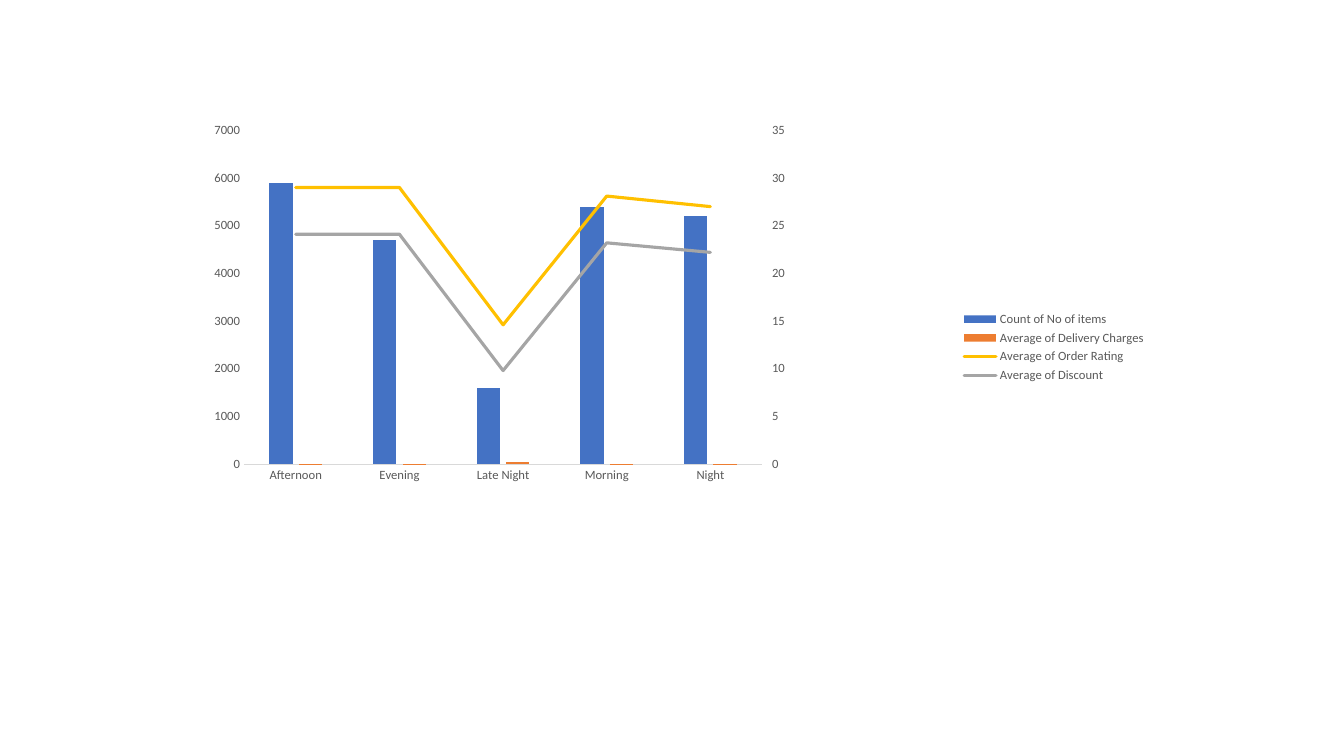
from dataclasses import dataclass
from typing import Any

from pptx import Presentation
from pptx import oxml
from pptx import util as u
from pptx.chart import axis as ax
from pptx.chart import data as cd
from pptx.dml import color as clr
from pptx.enum import chart as ch
from pptx.oxml import ns


@dataclass(frozen=True)
class Measure:
    name: str
    values: tuple[float, ...]
    color: str


PERIODS = ("Afternoon", "Evening", "Late Night", "Morning", "Night")
COLUMNS = (
    Measure("Count of No of items", (5900, 4700, 1600, 5400, 5200), "4472C4"),
    Measure("Average of Delivery Charges", (3, 3, 40, 3, 3), "ED7D31"),
)
LINES = (
    Measure("Average of Discount", (24.1, 24.1, 9.8, 23.2, 22.2), "A5A5A5"),
    Measure("Average of Order Rating", (4.9, 4.9, 4.8, 4.9, 4.8), "FFC000"),
)
PLOT_BOX = {"x": 0.134, "y": 0.142, "w": 0.492, "h": 0.551}
AXIS_FORMAT = {
    "has_major_gridlines": False,
    "major_tick_mark": ch.XL_TICK_MARK.NONE,
    "minor_tick_mark": ch.XL_TICK_MARK.NONE,
}
LEFT_SCALE = {"minimum_scale": 0, "maximum_scale": 7000, "major_unit": 1000}
RIGHT_SCALE = {
    "minimum_scale": 0,
    "maximum_scale": 35,
    "major_unit": 5,
    "major_tick_mark": ch.XL_TICK_MARK.OUTSIDE,
}


def rgb(value: str) -> clr.RGBColor:
    return clr.RGBColor.from_string(value)


def apply(target: Any, values: dict[str, Any]) -> None:
    for key, value in values.items():
        setattr(target, key, value)


def style_font(font: Any, size: float, color: str) -> None:
    apply(font, {"name": "Calibri", "size": u.Pt(size), "bold": False})
    font.color.rgb = rgb(color)


def style_line(line: Any, width: float, color: str) -> None:
    line.color.rgb = rgb(color)
    line.width = u.Pt(width)


def chart_xml(markup: str) -> Any:
    head, tail = markup.split(">", 1)
    return oxml.parse_xml(f"{head} {ns.nsdecls('c')}>{tail}")


def place_plot(plot_area: Any) -> None:
    for layout in plot_area.xpath("c:layout"):
        plot_area.remove(layout)
    modes = "".join(f'<c:{key}Mode val="edge"/>' for key in ("x", "y"))
    box = "".join(f'<c:{key} val="{value}"/>' for key, value in PLOT_BOX.items())
    plot_area.insert(0, chart_xml(
        "<c:layout><c:manualLayout>"
        f'<c:layoutTarget val="inner"/>{modes}{box}'
        "</c:manualLayout></c:layout>"
    ))


def axis_xml(kind: str, own: int, other: int, hidden: int, side: str, crosses: str) -> Any:
    return chart_xml(
        f'<c:{kind}><c:axId val="{own}"/>'
        '<c:scaling><c:orientation val="minMax"/></c:scaling>'
        f'<c:delete val="{hidden}"/><c:axPos val="{side}"/>'
        '<c:numFmt formatCode="General" sourceLinked="0"/>'
        '<c:majorTickMark val="out"/><c:minorTickMark val="none"/>'
        '<c:tickLblPos val="nextTo"/>'
        f'<c:crossAx val="{other}"/><c:crosses val="{crosses}"/></c:{kind}>'
    )


def move_lines_to_right_axis(plot_area: Any) -> ax.ValueAxis:
    columns = plot_area.xpath("c:barChart")[0]
    lines = chart_xml(
        '<c:lineChart><c:grouping val="stacked"/><c:varyColors val="0"/>'
        '<c:marker val="1"/><c:axId val="5001"/><c:axId val="5002"/></c:lineChart>'
    )
    for position, series in enumerate(columns.xpath("c:ser")[len(COLUMNS):], start=2):
        for flag in series.xpath("c:invertIfNegative"):
            series.remove(flag)
        lines.insert(position, series)
    columns.addnext(lines)
    right = axis_xml("valAx", 5002, 5001, 0, "r", "max")
    hidden_periods = axis_xml("catAx", 5001, 5002, 1, "b", "autoZero")
    plot_area.xpath("c:valAx")[-1].addnext(right)
    right.addnext(hidden_periods)
    return ax.ValueAxis(right)


def add_orders_chart(slide: Any) -> None:
    orders = cd.CategoryChartData()
    orders.categories = PERIODS
    for measure in COLUMNS + LINES:
        orders.add_series(measure.name, measure.values)
    frame = slide.shapes.add_chart(
        ch.XL_CHART_TYPE.COLUMN_CLUSTERED,
        u.Pt(73.44), u.Pt(31.68), u.Pt(752.4), u.Pt(432.72), orders,
    )
    chart = frame.chart
    apply(chart, {"has_title": False, "has_legend": True})
    style_font(chart.font, 10, "000000")
    apply(chart.legend, {
        "position": ch.XL_LEGEND_POSITION.RIGHT, "include_in_layout": False,
    })
    style_font(chart.legend.font, 9, "595959")

    plot_area = chart._chartSpace.chart.plotArea
    place_plot(plot_area)
    period_axis, left_axis = chart.category_axis, chart.value_axis
    right_axis = move_lines_to_right_axis(plot_area)
    for axis, extra in (
        (period_axis, {}),
        (left_axis, LEFT_SCALE),
        (right_axis, RIGHT_SCALE),
    ):
        apply(axis, AXIS_FORMAT | extra)
        style_font(axis.tick_labels.font, 9, "595959")
        axis.format.line.fill.background()
    style_line(period_axis.format.line, 0.75, "D9D9D9")

    column_plot, line_plot = chart.plots
    apply(column_plot, {"gap_width": 219, "overlap": -27, "vary_by_categories": False})
    for series, measure in zip(column_plot.series, COLUMNS):
        series.format.fill.solid()
        series.format.fill.fore_color.rgb = rgb(measure.color)
    for series, measure in zip(line_plot.series, LINES):
        style_line(series.format.line, 2.25, measure.color)
        outline = series._element.xpath("c:spPr/a:ln")[0]
        outline.set("cap", "rnd")
        outline.append(oxml.parse_xml(f"<a:round {ns.nsdecls('a')}/>"))
        series.marker.style = ch.XL_MARKER_STYLE.NONE
        series.smooth = False


def main() -> None:
    deck = Presentation()
    apply(deck, {"slide_width": u.Pt(960), "slide_height": u.Pt(540)})
    add_orders_chart(deck.slides.add_slide(deck.slide_layouts[6]))
    deck.save("out.pptx")


if __name__ == "__main__":
    main()
